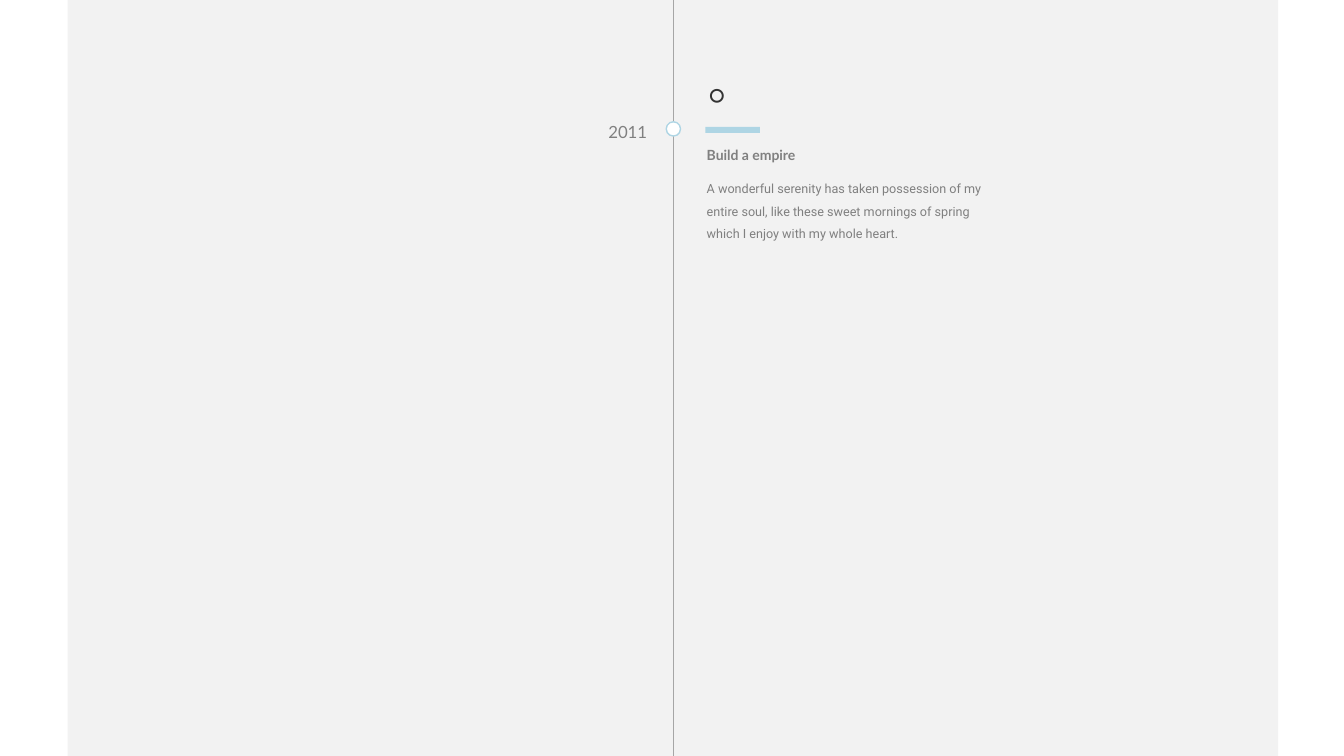
"""Build a timeline slide with one dated milestone beside a vertical axis."""
from dataclasses import dataclass

from lxml import etree
from pptx import Presentation
from pptx.dml.color import RGBColor
from pptx.enum import shapes, text
from pptx.oxml import ns
from pptx.util import Pt


@dataclass(frozen=True)
class Theme:
    panel: str = "F2F2F2"
    axis: str = "A6A6A6"
    accent: str = "AED5E4"
    white: str = "FFFFFF"
    grey: str = "808080"
    dark: str = "333333"
    heading_font: str = "Lato"
    body_font: str = "Roboto"
    icon_size: float = 18
    year_size: float = 12
    title_size: float = 10
    body_size: float = 9
    line_width: float = 1


@dataclass(frozen=True)
class Box:
    left: float
    top: float
    width: float
    height: float

    def lengths(self) -> tuple:
        return Pt(self.left), Pt(self.top), Pt(self.width), Pt(self.height)


@dataclass(frozen=True)
class Block:
    box: Box
    kind: shapes.MSO_SHAPE
    fill: str
    outline: str | None = None


@dataclass(frozen=True)
class Label:
    box: Box
    wording: str
    size: float
    font: str
    color: str
    bold: bool = False
    align: text.PP_ALIGN = text.PP_ALIGN.LEFT
    line_spacing: float = 1.0
    wrap: bool = True


THEME = Theme()
SLIDE_WIDTH, SLIDE_HEIGHT = 960, 540
AXIS_X = 481
MARKER_SIZE = 10.2
MARKER_TOP = 87
TEXT_LEFT = 497.6

PANEL = Block(Box(48.24, 0, 864.72, SLIDE_HEIGHT), shapes.MSO_SHAPE.RECTANGLE, THEME.panel)
MARKER = Block(Box(AXIS_X - MARKER_SIZE / 2, MARKER_TOP, MARKER_SIZE, MARKER_SIZE),
               shapes.MSO_SHAPE.OVAL, THEME.white, THEME.accent)
ACCENT_BAR = Block(Box(503.8, 90.6, 39, 4.4), shapes.MSO_SHAPE.RECTANGLE, THEME.accent)

TITLE = Label(Box(TEXT_LEFT, 100.8, 139, 19.4), "Build a empire",
              THEME.title_size, THEME.heading_font, THEME.grey, bold=True)
BODY = Label(Box(TEXT_LEFT, 120.2, 211, 56.2),
             "A wonderful serenity has taken possession of my entire soul, "
             "like these sweet mornings of spring which I enjoy with my whole heart.",
             THEME.body_size, THEME.body_font, THEME.grey, line_spacing=1.5)
YEAR = Label(Box(408.2, 83.5, 61.2, 21.6), "2011",
             THEME.year_size, THEME.heading_font, THEME.grey, align=text.PP_ALIGN.RIGHT)
ICON = Label(Box(499, 53.3, 35.3, 28.8), "○",
             THEME.icon_size, THEME.heading_font, THEME.dark, wrap=False)


def draw_block(slide, block: Block):
    shape = slide.shapes.add_shape(block.kind, *block.box.lengths())
    shape.shadow.inherit = False
    shape.fill.solid()
    shape.fill.fore_color.rgb = RGBColor.from_string(block.fill)
    if block.outline:
        shape.line.color.rgb = RGBColor.from_string(block.outline)
        shape.line.width = Pt(THEME.line_width)
    else:
        shape.line.fill.background()
    return shape


def draw_axis(slide) -> None:
    axis = slide.shapes.add_connector(shapes.MSO_CONNECTOR.STRAIGHT,
                                      Pt(AXIS_X), Pt(0), Pt(AXIS_X), Pt(SLIDE_HEIGHT))
    axis.line.color.rgb = RGBColor.from_string(THEME.axis)
    axis.line.width = Pt(THEME.line_width)
    etree.SubElement(axis.element.spPr, ns.qn("a:effectLst"))


def write_label(shape, label: Label) -> None:
    shape.left, shape.top, shape.width, shape.height = label.box.lengths()
    frame = shape.text_frame
    frame.text = label.wording
    frame.word_wrap = label.wrap
    frame.auto_size = text.MSO_AUTO_SIZE.SHAPE_TO_FIT_TEXT
    frame.vertical_anchor = text.MSO_ANCHOR.TOP
    paragraph = frame.paragraphs[0]
    paragraph.alignment = label.align
    paragraph.line_spacing = label.line_spacing
    paragraph.space_before = Pt(0)
    font = paragraph.runs[0].font
    font.size = Pt(label.size)
    font.name = label.font
    font.bold = label.bold
    font.color.rgb = RGBColor.from_string(label.color)


def remove_bullet(paragraph) -> None:
    properties = paragraph._p.get_or_add_pPr()
    properties.set("marL", "0")
    properties.set("indent", "0")
    etree.SubElement(properties, ns.qn("a:buNone"))


def main() -> None:
    presentation = Presentation()
    presentation.slide_width = Pt(SLIDE_WIDTH)
    presentation.slide_height = Pt(SLIDE_HEIGHT)
    slide = presentation.slides.add_slide(presentation.slide_layouts[1])
    title, body = slide.placeholders

    panel = draw_block(slide, PANEL)
    title.element.addprevious(panel.element)
    draw_axis(slide)
    for block in (MARKER, ACCENT_BAR):
        draw_block(slide, block)

    write_label(title, TITLE)
    write_label(body, BODY)
    remove_bullet(body.text_frame.paragraphs[0])
    for label in (YEAR, ICON):
        write_label(slide.shapes.add_textbox(*label.box.lengths()), label)

    presentation.save("out.pptx")


if __name__ == "__main__":
    main()
